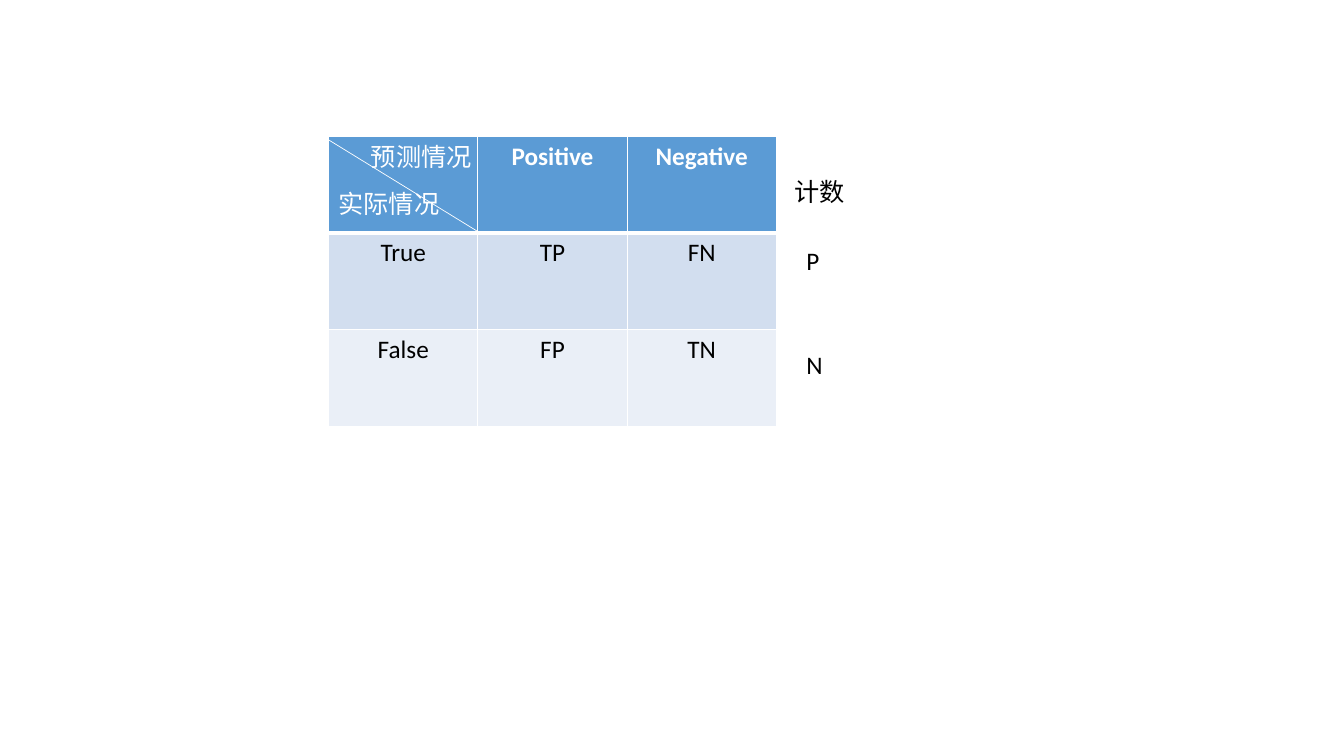
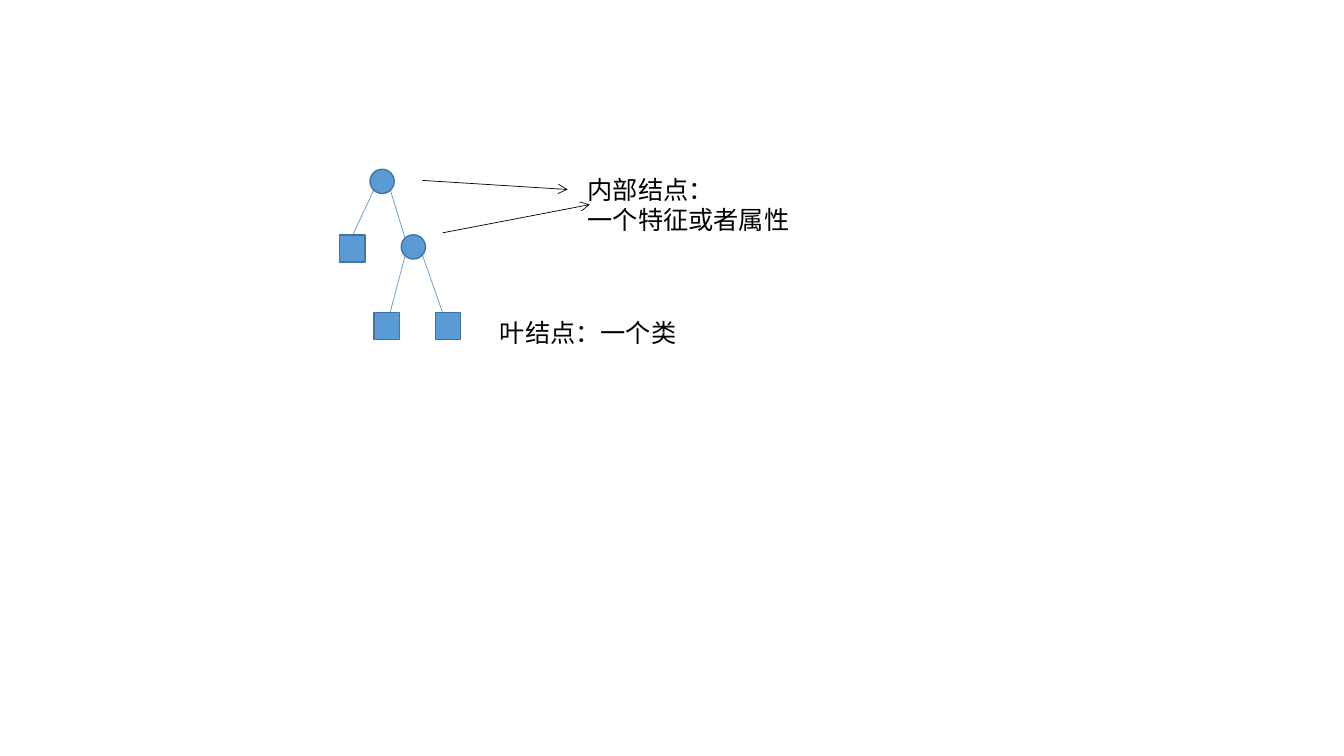
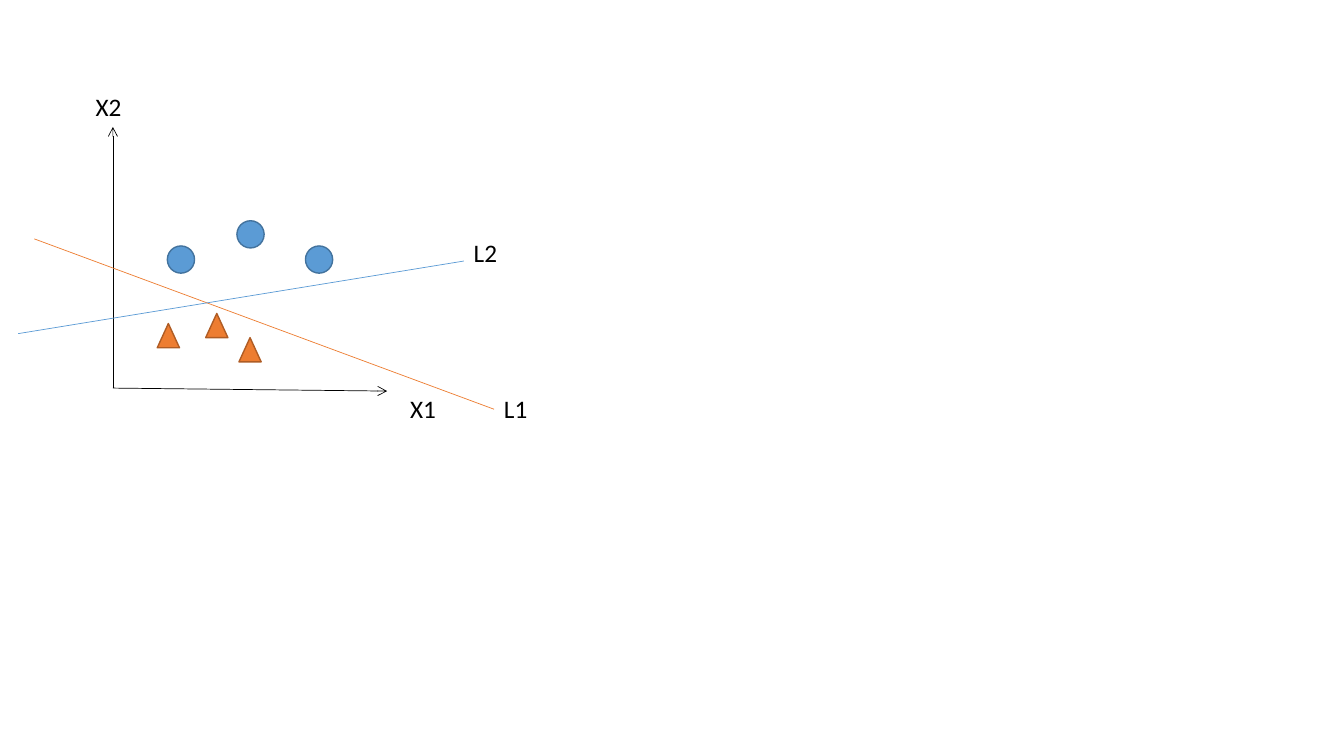
from lxml.etree import SubElement
from pptx import Presentation
from pptx.dml.color import RGBColor
from pptx.enum.shapes import MSO_CONNECTOR, MSO_SHAPE
from pptx.enum.text import PP_ALIGN
from pptx.oxml.ns import qn
from pptx.util import Inches, Pt

FONT = "Calibri"
SIZE = Pt(18)
WHITE = RGBColor(0xFF, 0xFF, 0xFF)
BLACK = RGBColor(0x00, 0x00, 0x00)
BLUE = RGBColor(0x5B, 0x9B, 0xD5)
DARK_BLUE = RGBColor(0x43, 0x73, 0x9E)
ORANGE = RGBColor(0xED, 0x7D, 0x31)
DARK_ORANGE = RGBColor(0xAF, 0x5C, 0x24)
BAND_DARK = RGBColor(0xD2, 0xDE, 0xEF)
BAND_LIGHT = RGBColor(0xEA, 0xEF, 0xF7)


def add_text(s, text, x, y, w, color=BLACK):
    lines = text.split("\n")
    h = 0.1 + 0.3 * len(lines)
    tf = s.shapes.add_textbox(Inches(x), Inches(y), Inches(w), Inches(h)).text_frame
    tf.word_wrap = True
    tf.text = text
    for p in tf.paragraphs:
        p.font.name = FONT
        p.font.size = SIZE
        p.font.color.rgb = color


def add_line(s, x1, y1, x2, y2, color, arrow=False):
    line = s.shapes.add_connector(
        MSO_CONNECTOR.STRAIGHT, Inches(x1), Inches(y1), Inches(x2), Inches(y2))
    line.line.color.rgb = color
    line.line.width = Pt(0.5)
    if arrow:
        SubElement(line.line._get_or_add_ln(), qn("a:tailEnd"), type="arrow")
    SubElement(line._element.spPr, qn("a:effectLst"))


prs = Presentation()
prs.slide_width = Inches(13.33)
prs.slide_height = Inches(7.5)
matrix, tree, plot = [prs.slides.add_slide(prs.slide_layouts[6]) for _ in range(3)]

rows = [
    ["", "Positive", "Negative"],
    ["True", "TP", "FN"],
    ["False", "FP", "TN"],
]
row_fills = [BLUE, BAND_DARK, BAND_LIGHT]
table = matrix.shapes.add_table(
    3, 3, Inches(3.26), Inches(1.35), Inches(4.44), Inches(2.88)).table
for i, row in enumerate(rows):
    table.rows[i].height = Inches(0.96)
    table.columns[i].width = Inches(1.48)
    for j, text in enumerate(row):
        cell = table.cell(i, j)
        tcPr = cell._tc.get_or_add_tcPr()
        for side in ("L", "R", "T", "B"):
            thick = (i, side) in ((0, "B"), (1, "T"))
            ln = SubElement(tcPr, qn(f"a:ln{side}"), w=str(Pt(3 if thick else 1)))
            SubElement(SubElement(ln, qn("a:solidFill")), qn("a:srgbClr"), val=str(WHITE))
        cell.fill.solid()
        cell.fill.fore_color.rgb = row_fills[i]
        cell.text_frame.text = text
        p = cell.text_frame.paragraphs[0]
        p.alignment = PP_ALIGN.CENTER
        for r in p.runs:
            r.font.name = FONT
            r.font.size = SIZE
            r.font.bold = i == 0
            r.font.color.rgb = WHITE if i == 0 else BLACK

add_text(matrix, "预测情况", 3.58, 1.35, 1.54, WHITE)
add_text(matrix, "实际情况", 3.26, 1.82, 1.54, WHITE)
add_line(matrix, 3.23, 1.37, 4.76, 2.31, WHITE)
add_text(matrix, "P", 7.9, 2.38, 1.68)
add_text(matrix, "N", 7.9, 3.42, 1.68)
add_text(matrix, "计数", 7.78, 1.7, 1.28)

branches = [
    (3.71, 1.88, 3.48, 2.37),
    (3.87, 1.88, 4.02, 2.37),
    (4.02, 2.53, 3.87, 3.1),
    (4.19, 2.53, 4.4, 3.13),
]
for ends in branches:
    add_line(tree, *ends, BLUE)
add_text(tree, "内部结点：\n一个特征或者属性", 5.73, 1.68, 2.42)
add_text(tree, "叶结点：一个类", 4.86, 3.1, 1.99)
add_line(tree, 4.19, 1.79, 5.63, 1.88, BLACK, arrow=True)
add_line(tree, 4.39, 2.31, 5.85, 2.03, BLACK, arrow=True)

add_line(plot, 1.12, 3.85, 1.12, 1.26, BLACK, arrow=True)
add_line(plot, 1.12, 3.85, 3.84, 3.88, BLACK, arrow=True)
add_line(plot, 0.34, 2.37, 4.9, 4.06, ORANGE)
add_line(plot, 0.18, 3.31, 4.6, 2.59, BLUE)
add_text(plot, "X1", 3.97, 3.85, 0.93)
add_text(plot, "X2", 0.85, 0.86, 0.93)
add_text(plot, "L1", 4.9, 3.85, 0.62)
add_text(plot, "L2", 4.6, 2.31, 0.62)

marks = [
    (tree, MSO_SHAPE.OVAL, 0.24, 0.24, BLUE, DARK_BLUE,
     [(3.67, 1.68), (3.98, 2.33)]),
    (tree, MSO_SHAPE.RECTANGLE, 0.25, 0.27, BLUE, DARK_BLUE,
     [(3.37, 2.33), (3.71, 3.1), (4.32, 3.1)]),
    (plot, MSO_SHAPE.ISOSCELES_TRIANGLE, 0.22, 0.24, ORANGE, DARK_ORANGE,
     [(1.56, 3.21), (2.04, 3.11), (2.37, 3.35)]),
    (plot, MSO_SHAPE.OVAL, 0.27, 0.27, BLUE, DARK_BLUE,
     [(1.66, 2.44), (2.35, 2.19), (3.03, 2.44)]),
]
for s, kind, w, h, fill, outline, places in marks:
    for x, y in places:
        sp = s.shapes.add_shape(kind, Inches(x), Inches(y), Inches(w), Inches(h))
        sp.shadow.inherit = False
        sp.fill.solid()
        sp.fill.fore_color.rgb = fill
        sp.line.color.rgb = outline
        sp.line.width = Pt(1)

prs.save("out.pptx")
